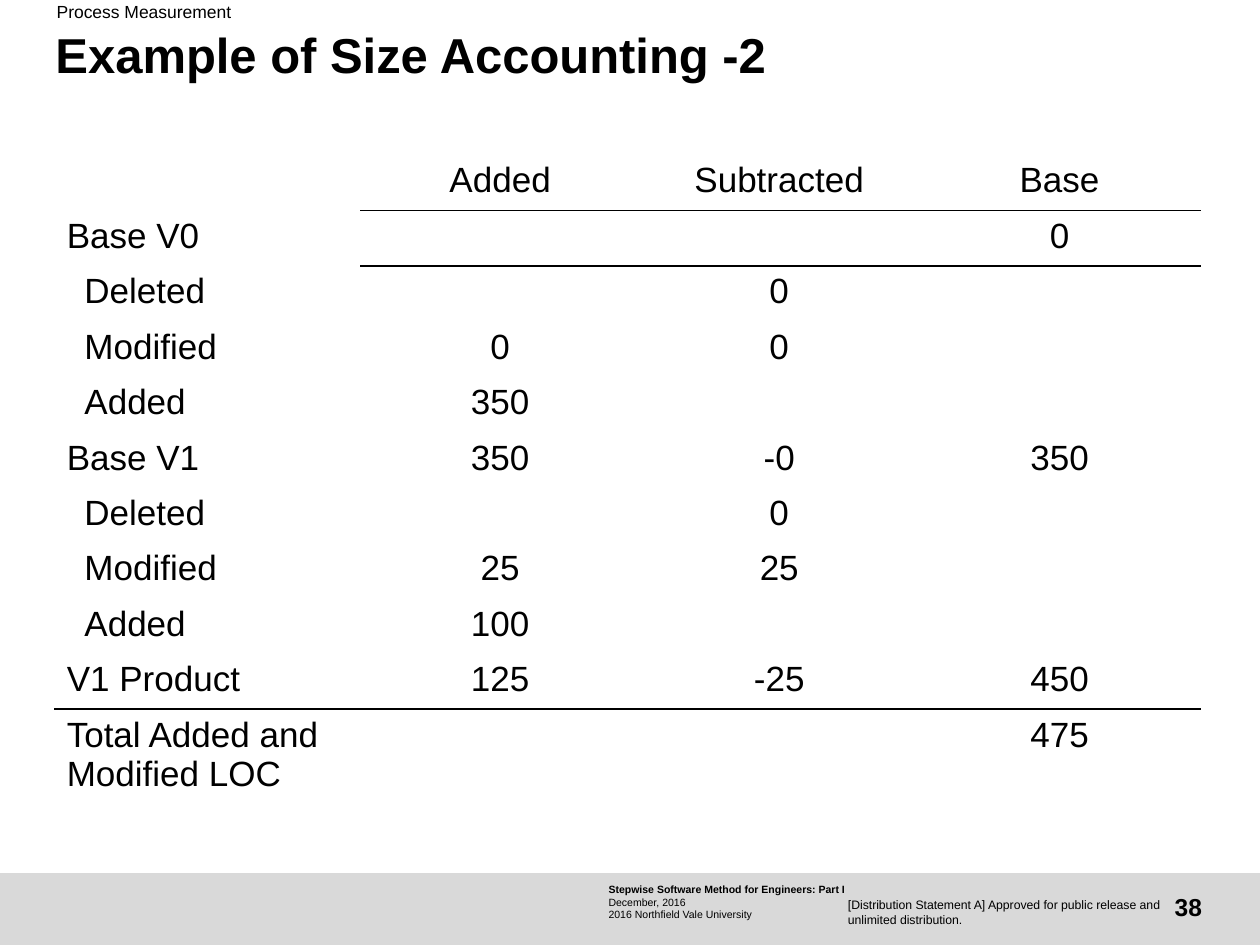
from pptx import Presentation
from pptx.dml.color import RGBColor
from pptx.enum.shapes import MSO_SHAPE as Shape
from pptx.enum.text import MSO_ANCHOR as Anchor, MSO_AUTO_SIZE as AutoSize, PP_ALIGN as Align
from pptx.oxml import parse_xml
from pptx.oxml.ns import nsdecls, qn
from pptx.util import Emu, Pt
from dataclasses import dataclass


@dataclass(frozen=True)
class Theme:
    """Colours, font and type sizes of the slide."""
    ink: str = "000000"
    band: str = "D9D9D9"
    font: str = "Arial"
    title: int = 28
    table: int = 20
    number: int = 14
    section: int = 10
    notice: int = 7
    imprint: int = 6
    rule: int = 1


THEME = Theme()
PX_PER_INCH = 100
PLAIN_TABLE = "{2D5ABB26-0587-4C30-8999-92F81FD0307C}"
COLUMNS = (243, 222, 221, 224)
ROW_HEIGHT = 44
INDENT = 14
ROWS = [
    ("", "Added", "Subtracted", "Base"),
    ("Base V0", "", "", "0"),
    ("Deleted", "", "0", ""),
    ("Modified", "0", "0", ""),
    ("Added", "350", "", ""),
    ("Base V1", "350", "-0", "350"),
    ("Deleted", "", "0", ""),
    ("Modified", "25", "25", ""),
    ("Added", "100", "", ""),
    ("V1 Product", "125", "-25", "450"),
    ("Total Added and \vModified LOC", "", "", "475"),
]
DETAILS = {"Deleted", "Modified", "Added"}
RULES = {0: (1, "lnB"), 1: (1, "lnT"), 9: (0, "lnB"), 10: (0, "lnT")}


def px(length):
    """Turn px into EMU."""
    return Emu(round(length * 914400 / PX_PER_INCH))


def apply(target, values):
    """Set attributes of an object from a dict."""
    for name, value in values.items():
        setattr(target, name, value)


def write(paragraph, text, size, bold=False, **layout):
    """Fill a paragraph with text in the theme font."""
    paragraph.text = text
    apply(paragraph, layout)
    for run in paragraph.runs:
        apply(run.font, {"name": THEME.font, "size": Pt(size), "bold": bold})
        run.font.color.rgb = RGBColor.from_string(THEME.ink)


def add_text(slide, box, lines, size, bold_lines=0, frame_format=None, **layout):
    """Add a text box whose first lines may be bold."""
    frame = slide.shapes.add_textbox(*map(px, box)).text_frame
    margins = dict.fromkeys(("margin_left", "margin_top", "margin_right", "margin_bottom"), 0)
    apply(frame, {"word_wrap": True, **margins, **(frame_format or {})})
    for index, line in enumerate(lines):
        paragraph = frame.add_paragraph() if index else frame.paragraphs[0]
        write(paragraph, line, size, index < bold_lines, **layout)


def add_header(slide, left, top):
    """Place the section name and the title."""
    add_text(slide, (left + 1, top, 456, 17), ["Process Measurement"], THEME.section,
             frame_format={"auto_size": AutoSize.SHAPE_TO_FIT_TEXT})
    add_text(slide, (left, top + 24, 831, 73), ["Example of Size Accounting -2"],
             THEME.title, bold_lines=1, line_spacing=0.9)


def add_rule(cell, side):
    """Draw a line on one side of a table cell."""
    border = parse_xml(
        f'<a:{side} {nsdecls("a")} w="{Pt(THEME.rule)}"><a:solidFill>'
        f'<a:srgbClr val="{THEME.ink}"/></a:solidFill></a:{side}>')
    cell._tc.get_or_add_tcPr().insert(0, border)


def fill_cell(cell, text, is_label):
    """Write one table cell as a label or a centred value."""
    cell.fill.background()
    if not text:
        return
    paragraph = cell.text_frame.paragraphs[0]
    write(paragraph, text, THEME.table, alignment=Align.LEFT if is_label else Align.CENTER)
    if is_label and text in DETAILS:
        paragraph.level = 1
        apply_indent = paragraph._p.get_or_add_pPr().set
        apply_indent("marL", str(px(INDENT)))
        apply_indent("indent", "0")


def add_size_table(slide, left, top):
    """Place the size accounting table."""
    box = (left, top, sum(COLUMNS), ROW_HEIGHT * len(ROWS))
    table = slide.shapes.add_table(len(ROWS), len(COLUMNS), *map(px, box)).table
    apply(table, {"first_row": False, "horz_banding": False})
    table._tbl.tblPr.find(qn("a:tableStyleId")).text = PLAIN_TABLE
    for column, width in zip(table.columns, COLUMNS):
        column.width = px(width)
    for row_index, values in enumerate(ROWS):
        first_ruled, side = RULES.get(row_index, (len(COLUMNS), None))
        for column_index, text in enumerate(values):
            cell = table.cell(row_index, column_index)
            fill_cell(cell, text, column_index == 0)
            if column_index >= first_ruled:
                add_rule(cell, side)
    last = len(ROWS) - 1
    table.cell(last, 0).merge(table.cell(last, 2))


def add_footer(slide, left, top, width, height):
    """Place the grey band with imprint, page number and notice."""
    band = slide.shapes.add_shape(Shape.RECTANGLE, *map(px, (left, top, width, height)))
    band.shadow.inherit = False
    band.fill.solid()
    band.fill.fore_color.rgb = RGBColor.from_string(THEME.band)
    band.line.fill.background()
    grow = {"auto_size": AutoSize.SHAPE_TO_FIT_TEXT}
    imprint = ["Stepwise Software Method for Engineers: Part I", "December, 2016",
               "2016 Northfield Vale University"]
    add_text(slide, (left + 483, top + 8, 221, 30), imprint, THEME.imprint, bold_lines=1,
             frame_format={**grow, "margin_right": px(5)})
    add_text(slide, (left + 898, top + 7, 56, 40), ["38"], THEME.number, bold_lines=1,
             frame_format={"vertical_anchor": Anchor.MIDDLE}, alignment=Align.RIGHT)
    notice = "[Distribution Statement A] Approved for public release and unlimited distribution."
    add_text(slide, (left + 673, top + 19, 254, 24), [notice], THEME.notice, frame_format=grow)


def main():
    """Build and save the slide."""
    presentation = Presentation()
    apply(presentation, {"slide_width": px(1000), "slide_height": px(750)})
    slide = presentation.slides.add_slide(presentation.slide_layouts[6])
    add_footer(slide, 0, 693, 1000, 57)
    add_header(slide, 44, 1)
    add_size_table(slide, 43, 123)
    presentation.save("out.pptx")


if __name__ == "__main__":
    main()
